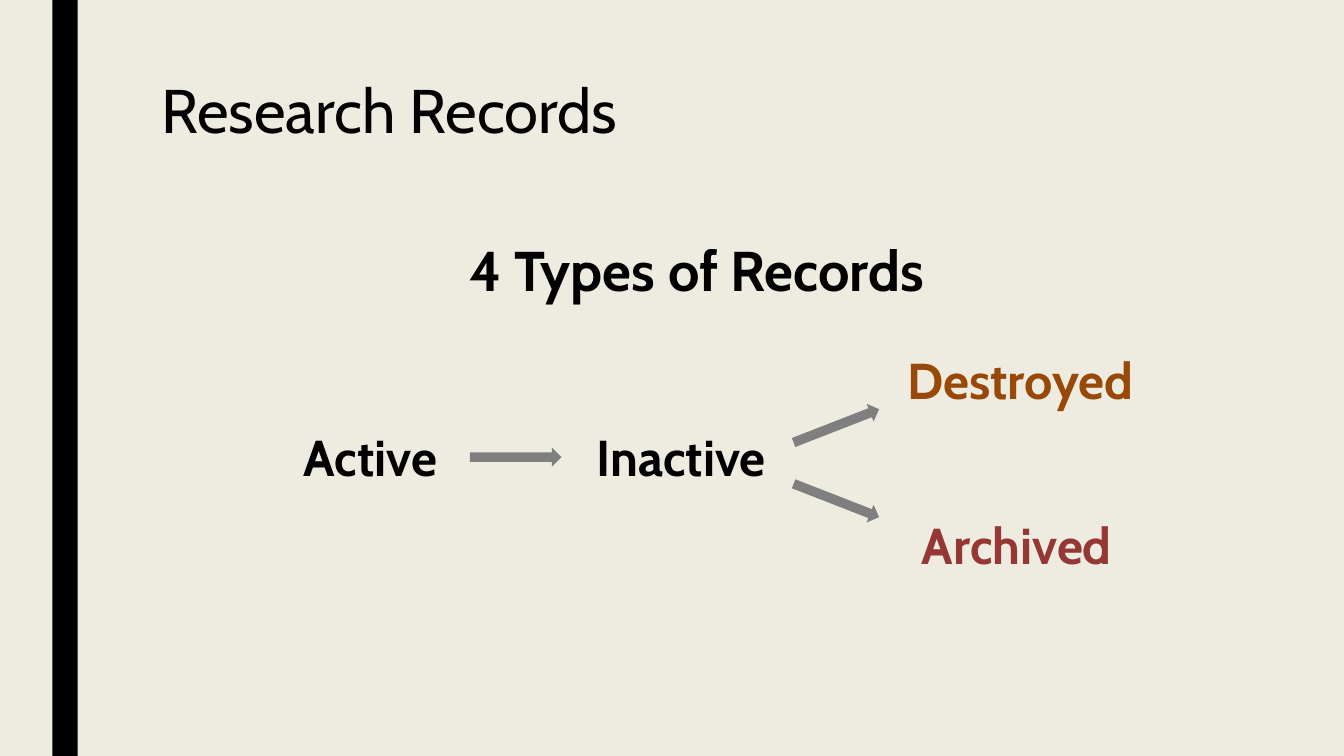
from pptx import Presentation
from pptx.dml.color import RGBColor
from pptx.enum.shapes import MSO_SHAPE
from pptx.enum.text import MSO_ANCHOR, MSO_AUTO_SIZE, PP_ALIGN
from pptx.util import Inches, Pt

BLACK = RGBColor(0x00, 0x00, 0x00)
CREAM = RGBColor(0xEE, 0xEC, 0xE1)
BROWN = RGBColor(0x98, 0x48, 0x07)
RED = RGBColor(0x95, 0x37, 0x35)
GRAY = RGBColor(0x7F, 0x7F, 0x7F)
FONT = "Cabin"

# Content: text, box (left, top, width, height), size, colour
TITLE = "Research Records"
LABELS = [
    ("4 Types of Records", (1.91, 2.28, 10, 0.77), 40, BLACK),
    ("Active", (2.34, 4.17, 2.67, 0.71), 36, BLACK),
    ("Inactive", (5.42, 4.17, 2.67, 0.71), 36, BLACK),
    ("Destroyed", (8.75, 3.41, 2.74, 0.71), 36, BROWN),
    ("Archived", (8.75, 5.04, 2.67, 0.71), 36, RED),
]
# Arrows: left, top, turn in degrees
ARROWS = [(4.66, 4.44, 0), (7.84, 4.13, -21.3), (7.84, 4.87, 21.3)]
ARROW_W, ARROW_H = 0.91, 0.19


def style(par, size, color, bold):
    for run in par.runs:
        font = run.font
        font.name, font.size, font.bold = FONT, Pt(size), bold
        font.color.rgb = color


def add_solid(slide, kind, box, color):
    shape = slide.shapes.add_shape(kind, *map(Inches, box))
    shape.shadow.inherit = False
    shape.fill.solid()
    shape.fill.fore_color.rgb = color
    shape.line.fill.background()
    return shape


def add_label(slide, text, box, size, color):
    frame = slide.shapes.add_textbox(*map(Inches, box)).text_frame
    frame.word_wrap = True
    frame.auto_size = MSO_AUTO_SIZE.SHAPE_TO_FIT_TEXT
    frame.vertical_anchor = MSO_ANCHOR.MIDDLE
    par = frame.paragraphs[0]
    par.text = text
    par.alignment = PP_ALIGN.CENTER
    style(par, size, color, True)


def main():
    prs = Presentation()
    prs.slide_width, prs.slide_height = Inches(13.33), Inches(7.5)
    slide = prs.slides.add_slide(prs.slide_layouts[5])
    slide.background.fill.solid()
    slide.background.fill.fore_color.rgb = CREAM

    # Side band
    add_solid(slide, MSO_SHAPE.RECTANGLE, (0.52, 0, 0.25, 7.5), BLACK)

    # Title
    title = slide.shapes.title
    title.left, title.top = Inches(1.5), Inches(0.75)
    title.width, title.height = Inches(10.5), Inches(1.62)
    frame = title.text_frame
    frame.text = TITLE
    frame.vertical_anchor = MSO_ANCHOR.TOP
    par = frame.paragraphs[0]
    par.alignment = PP_ALIGN.LEFT
    par.line_spacing = 0.89
    style(par, 44, BLACK, False)

    # Heading and record types
    for label in LABELS:
        add_label(slide, *label)

    # Flow arrows
    for left, top, turn in ARROWS:
        box = (left, top, ARROW_W, ARROW_H)
        arrow = add_solid(slide, MSO_SHAPE.RIGHT_ARROW, box, GRAY)
        arrow.rotation = turn

    prs.save("out.pptx")


if __name__ == "__main__":
    main()
